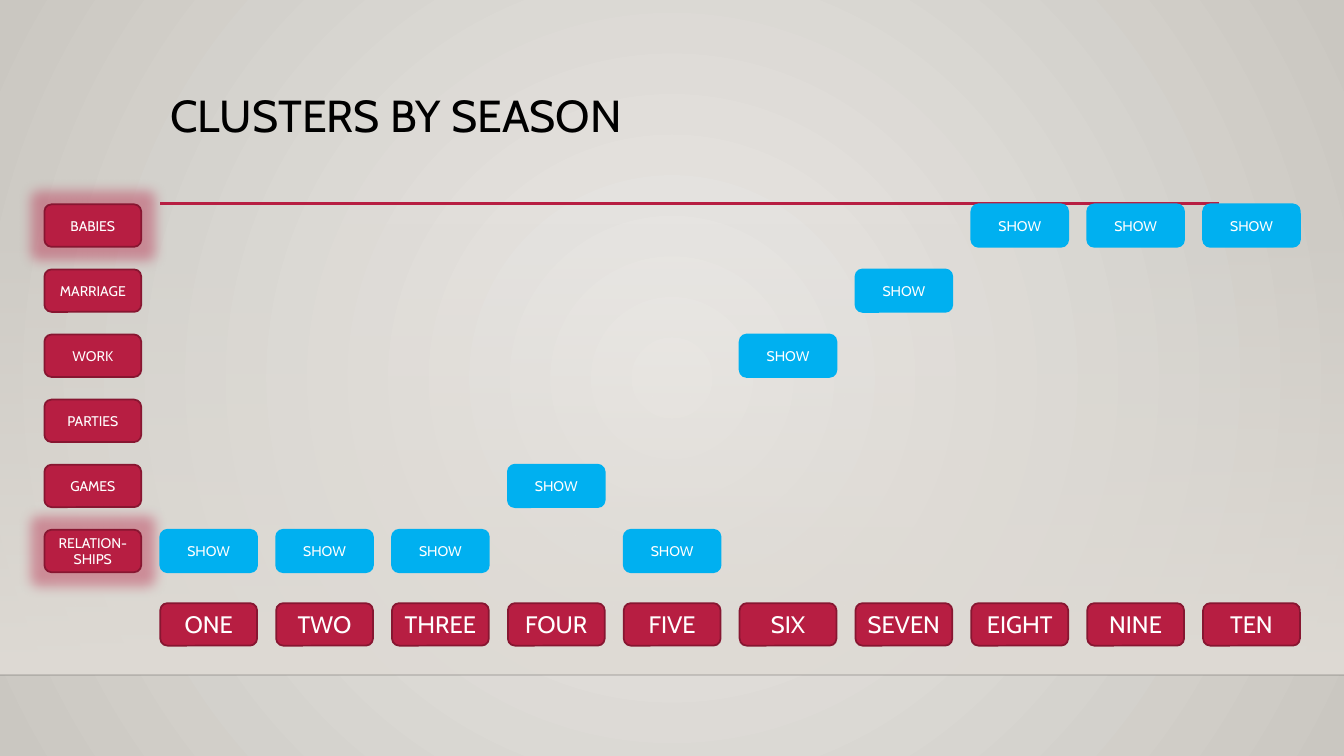
from lxml.etree import SubElement
from pptx import Presentation
from pptx.dml.color import RGBColor
from pptx.enum.shapes import MSO_CONNECTOR as CONN, MSO_SHAPE as SHAPE
from pptx.enum.text import MSO_ANCHOR as ANCHOR, MSO_AUTO_SIZE as AUTO, PP_ALIGN as ALIGN
from pptx.oxml import parse_xml
from pptx.oxml.ns import nsdecls, qn
from pptx.util import Cm, Pt

COLORS = {
    "center": "ECEAE7", "edge": "CAC7C1", "floor": "DFDBD5", "ink": "000000",
    "horizon": "000001", "red": "B71E42", "dark_red": "871631",
    "blue": "00B0F0", "white": "FFFFFF",
}
FONT = "Cabin"
WIDTH, HEIGHT = 33.87, 19.05
CELL_W, CELL_H = 2.44, 1.07
STEP_X, STEP_Y = 2.92, 1.64

SEASONS = ["ONE", "TWO", "THREE", "FOUR", "FIVE", "SIX", "SEVEN", "EIGHT", "NINE", "TEN"]
CLUSTERS = ["BABIES", "MARRIAGE", "WORK", "PARTIES", "GAMES", "RELATION-SHIPS"]
GLOWING = {"BABIES", "RELATION-SHIPS"}
SHOWS = {
    "BABIES": ["EIGHT", "NINE", "TEN"],
    "MARRIAGE": ["SEVEN"],
    "WORK": ["SIX"],
    "GAMES": ["FOUR"],
    "RELATION-SHIPS": ["ONE", "TWO", "THREE", "FIVE"],
}


def rgb(name):
    return RGBColor.from_string(COLORS[name])


def set_all(target, values):
    for key, value in values.items():
        setattr(target, key, value)


def style_text(tf, text, size, color, align, anchor):
    set_all(tf, {"text": text, "word_wrap": True, "auto_size": AUTO.NONE,
                 "vertical_anchor": anchor})
    p = tf.paragraphs[0]
    p.alignment = align
    font = p.runs[0].font
    set_all(font, {"name": FONT, "size": Pt(size), "bold": False})
    font.color.rgb = rgb(color)
    return p


def gradient_xml(start, end, direction, start_alpha=100):
    return (
        f'<a:gradFill {nsdecls("a")} rotWithShape="1"><a:gsLst>'
        f'<a:gs pos="0"><a:srgbClr val="{COLORS[start]}">'
        f'<a:alpha val="{start_alpha * 1000}"/></a:srgbClr></a:gs>'
        f'<a:gs pos="100000"><a:srgbClr val="{COLORS[end]}"/></a:gs>'
        f'</a:gsLst>{direction}</a:gradFill>'
    )


def add_line(s, left, top, width, color, weight, alpha=100):
    line = s.shapes.add_connector(CONN.STRAIGHT, Cm(left), Cm(top), Cm(left + width), Cm(top))
    line.line.width = Pt(weight)
    line.line.color.rgb = rgb(color)
    if alpha < 100:
        clr = next(line.element.spPr.iter(qn("a:srgbClr")))
        SubElement(clr, qn("a:alpha"), val=str(alpha * 1000))
    SubElement(line.element.spPr, qn("a:effectLst"))


def add_backdrop(s, left, top, width, height):
    circle = ('<a:path path="circle"><a:fillToRect l="50000" t="50000" '
              'r="50000" b="50000"/></a:path>')
    s.element.cSld.insert(0, parse_xml(
        f'<p:bg {nsdecls("p", "a")}><p:bgPr>{gradient_xml("center", "edge", circle)}'
        '<a:effectLst/></p:bgPr></p:bg>'))
    floor = s.shapes.add_shape(SHAPE.RECTANGLE, Cm(left), Cm(top), Cm(width), Cm(height))
    floor.shadow.inherit = False
    floor.line.fill.background()
    down = '<a:lin ang="5400000" scaled="0"/>'
    floor.element.spPr.insert(2, parse_xml(gradient_xml("floor", "floor", down, 0)))
    add_line(s, left, top + height, width, "horizon", 1, 20)


def add_title(s, left, top, width, height):
    title = s.shapes.title
    set_all(title, {"left": Cm(left), "top": Cm(top), "width": Cm(width), "height": Cm(height)})
    p = style_text(title.text_frame, "CLUSTERS BY SEASON", 32, "ink", ALIGN.LEFT, ANCHOR.TOP)
    p.line_spacing = 0.9
    add_line(s, left, top + height, width, "red", 2.5)


def add_cell(s, left, top, text, size=10, fill="red", border="dark_red", glow=False):
    sp = s.shapes.add_shape(SHAPE.ROUNDED_RECTANGLE, Cm(left), Cm(top), Cm(CELL_W), Cm(CELL_H))
    sp.shadow.inherit = False
    sp.fill.solid()
    sp.fill.fore_color.rgb = rgb(fill)
    sp.line.color.rgb = rgb(border)
    sp.line.width = Pt(1.25)
    style_text(sp.text_frame, text, size, "white", ALIGN.CENTER, ANCHOR.MIDDLE)
    if glow:
        effects = sp.element.spPr.find(qn("a:effectLst"))
        halo = SubElement(effects, qn("a:glow"), rad=str(Pt(18)))
        clr = SubElement(halo, qn("a:srgbClr"), val=COLORS["red"])
        SubElement(clr, qn("a:alpha"), val="40000")


def add_cluster_grid(s, left, top, axis_top):
    season_left = {name: left + STEP_X * i for i, name in enumerate(SEASONS, 1)}
    cluster_top = {name: top + STEP_Y * i for i, name in enumerate(CLUSTERS)}
    for name, x in season_left.items():
        add_cell(s, x, axis_top, name, size=17)
    for name, y in cluster_top.items():
        add_cell(s, left, y, name, glow=name in GLOWING)
    for cluster, seasons in SHOWS.items():
        for season in seasons:
            add_cell(s, season_left[season], cluster_top[cluster], "SHOW",
                     fill="blue", border="blue")


def main():
    prs = Presentation()
    set_all(prs, {"slide_width": Cm(WIDTH), "slide_height": Cm(HEIGHT)})
    s = prs.slides.add_slide(prs.slide_layouts[5])
    add_backdrop(s, 0, 5.61, WIDTH, 11.4)
    add_title(s, 4.04, 2.23, 26.68, 2.9)
    add_cluster_grid(s, 1.12, 5.15, 15.2)
    prs.save("out.pptx")


if __name__ == "__main__":
    main()
